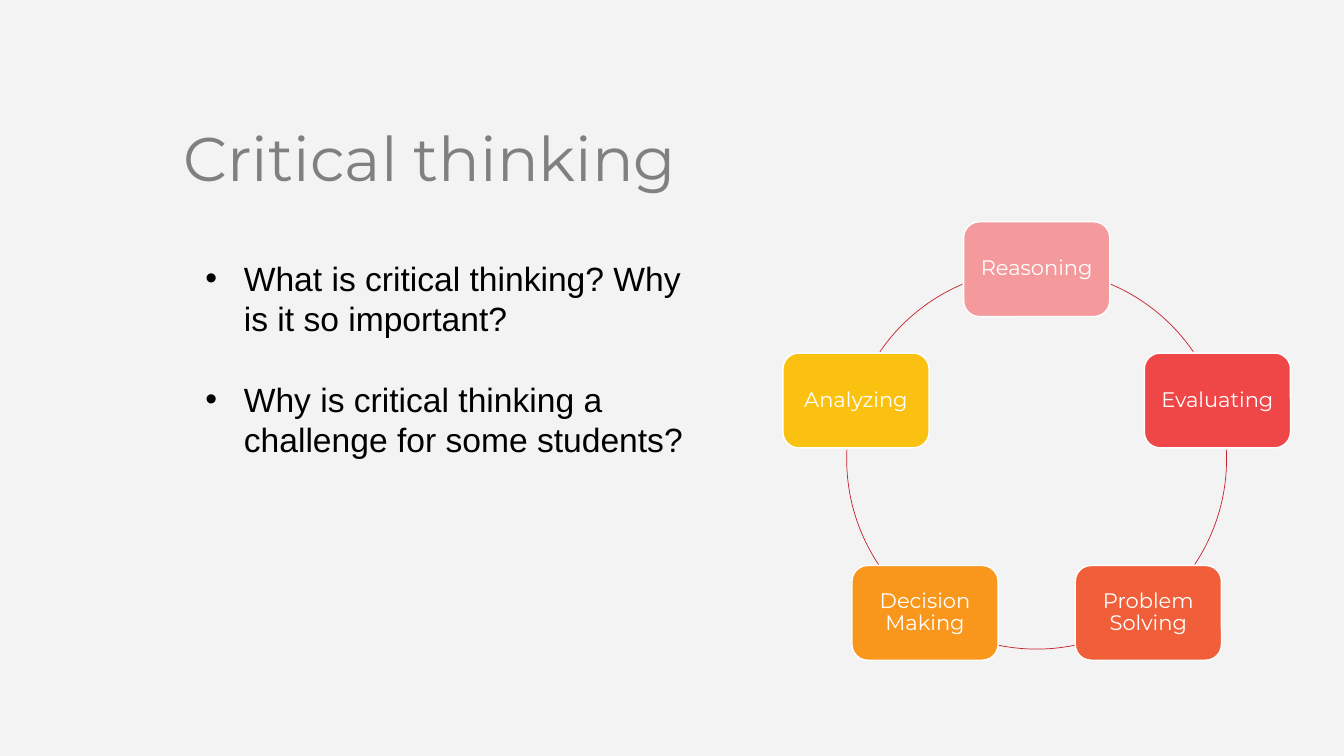
from dataclasses import dataclass
from math import cos, radians, sin

from lxml import etree
from pptx import Presentation
from pptx.dml.color import RGBColor
from pptx.enum.shapes import MSO_SHAPE
from pptx.enum.text import MSO_ANCHOR, MSO_AUTO_SIZE, PP_ALIGN
from pptx.oxml.ns import qn
from pptx.slide import Slide
from pptx.util import Pt

ROUND = MSO_SHAPE.ROUNDED_RECTANGLE
ARC = MSO_SHAPE.ARC
TOP = MSO_ANCHOR.TOP
MIDDLE = MSO_ANCHOR.MIDDLE
LEFT = PP_ALIGN.LEFT
CENTER = PP_ALIGN.CENTER
FIXED = MSO_AUTO_SIZE.NONE


@dataclass(frozen=True)
class Theme:
    back: str = "F3F3F3"
    title: str = "808080"
    body: str = "000000"
    white: str = "FFFFFF"
    ring: str = "C5202E"
    head_font: str = "Montserrat"
    body_font: str = "Arial"
    title_size: float = 44
    body_size: float = 24
    node_size: float = 15


@dataclass(frozen=True)
class Node:
    label: str
    fill: str


@dataclass(frozen=True)
class Arc:
    start: float
    end: float


THEME = Theme()
MID_X, MID_Y, RADIUS = 740.5, 328, 135.7
NODE_W, NODE_H = 104.4, 67.7
LEADING = 28.8
INDENT = 27.4

NODES = [
    Node("Reasoning", "F59A9C"),
    Node("Evaluating", "EF4647"),
    Node("Problem Solving", "F15F3A"),
    Node("Decision Making", "F8971C"),
    Node("Analyzing", "FBC111"),
]
ARCS = [
    Arc(293, 325.6),
    Arc(357.1, 33.7),
    Arc(78.5, 101.5),
    Arc(146.3, 182.9),
    Arc(214.4, 247),
]
POINTS = [
    "What is critical thinking? Why is it so important?",
    "Why is critical thinking a challenge for some students?",
]


def color(code: str) -> RGBColor:
    return RGBColor.from_string(code)


def style(para, font: str, size: float, code: str, align=LEFT) -> None:
    para.font.name = font
    para.font.size = Pt(size)
    para.font.color.rgb = color(code)
    para.alignment = align


def add_title(slide: Slide, text: str) -> None:
    title = slide.shapes.title
    title.left, title.top = Pt(123.8), Pt(87.8)
    title.width, title.height = Pt(463.7), Pt(45.4)
    frame = title.text_frame
    frame.text = text
    frame.auto_size = FIXED
    frame.vertical_anchor = TOP
    para = frame.paragraphs[0]
    style(para, THEME.head_font, THEME.title_size, THEME.title)
    para.line_spacing = 0.9


def add_points(slide: Slide, points: list[str]) -> None:
    box = slide.shapes.add_textbox(Pt(139.7), Pt(180.6), Pt(370), Pt(181.5))
    frame = box.text_frame
    frame.word_wrap = True
    frame.text = "\n".join(points)
    for para in frame.paragraphs:
        style(para, THEME.body_font, THEME.body_size, THEME.body)
        para.line_spacing = Pt(LEADING)
        props = para._p.get_or_add_pPr()
        props.set("marL", str(Pt(INDENT)))
        props.set("indent", str(-Pt(INDENT)))
        etree.SubElement(props, qn("a:buFont")).set("typeface", THEME.body_font)
        etree.SubElement(props, qn("a:buChar")).set("char", "•")
    for para in frame.paragraphs[1:]:
        para.space_before = Pt(LEADING)


def add_arc(slide: Slide, arc: Arc) -> None:
    side = Pt(2 * RADIUS)
    shape = slide.shapes.add_shape(
        ARC, Pt(MID_X - RADIUS), Pt(MID_Y - RADIUS), side, side
    )
    shape.shadow.inherit = False
    shape.adjustments[0] = arc.start * 0.6
    shape.adjustments[1] = arc.end * 0.6
    shape.fill.background()
    shape.line.color.rgb = color(THEME.ring)
    shape.line.width = Pt(0.5)


def add_node(slide: Slide, node: Node, angle: float) -> None:
    left = MID_X + RADIUS * cos(radians(angle)) - NODE_W / 2
    top = MID_Y + RADIUS * sin(radians(angle)) - NODE_H / 2
    shape = slide.shapes.add_shape(
        ROUND, Pt(left), Pt(top), Pt(NODE_W), Pt(NODE_H)
    )
    shape.shadow.inherit = False
    shape.fill.solid()
    shape.fill.fore_color.rgb = color(node.fill)
    shape.line.color.rgb = color(THEME.white)
    shape.line.width = Pt(1)
    frame = shape.text_frame
    frame.text = node.label
    frame.word_wrap = True
    frame.vertical_anchor = MIDDLE
    frame.margin_left = frame.margin_right = Pt(7.5)
    frame.margin_top = frame.margin_bottom = Pt(7.5)
    para = frame.paragraphs[0]
    style(para, THEME.head_font, THEME.node_size, THEME.white, CENTER)
    para.line_spacing = 0.9


def main() -> None:
    deck = Presentation()
    deck.slide_width, deck.slide_height = Pt(960), Pt(540)
    slide = deck.slides.add_slide(deck.slide_layouts[5])
    slide.background.fill.solid()
    slide.background.fill.fore_color.rgb = color(THEME.back)
    add_title(slide, "Critical thinking")
    add_points(slide, POINTS)
    step = 360 / len(NODES)
    for index, (node, arc) in enumerate(zip(NODES, ARCS)):
        add_node(slide, node, index * step - 90)
        add_arc(slide, arc)
    deck.save("out.pptx")


main()
